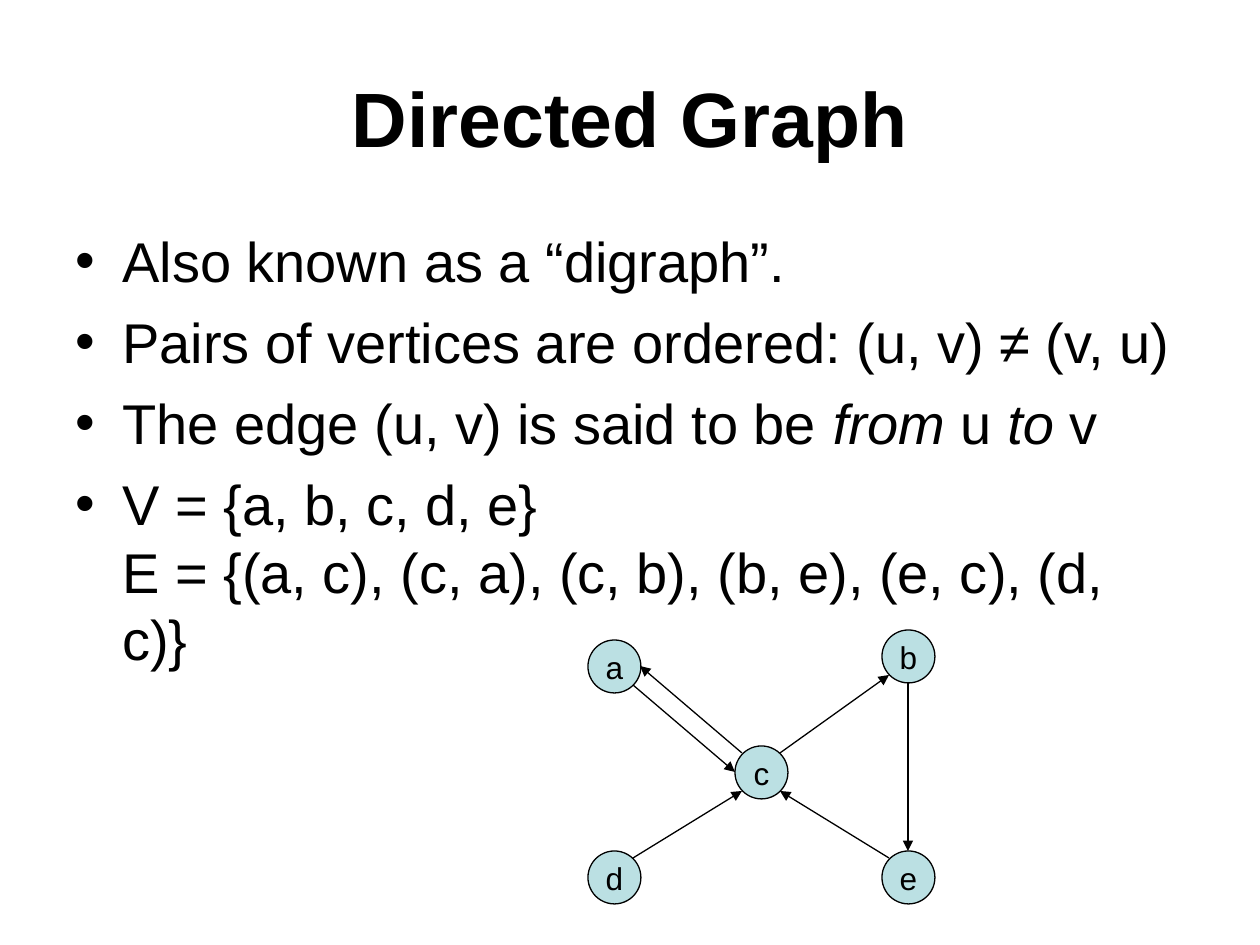
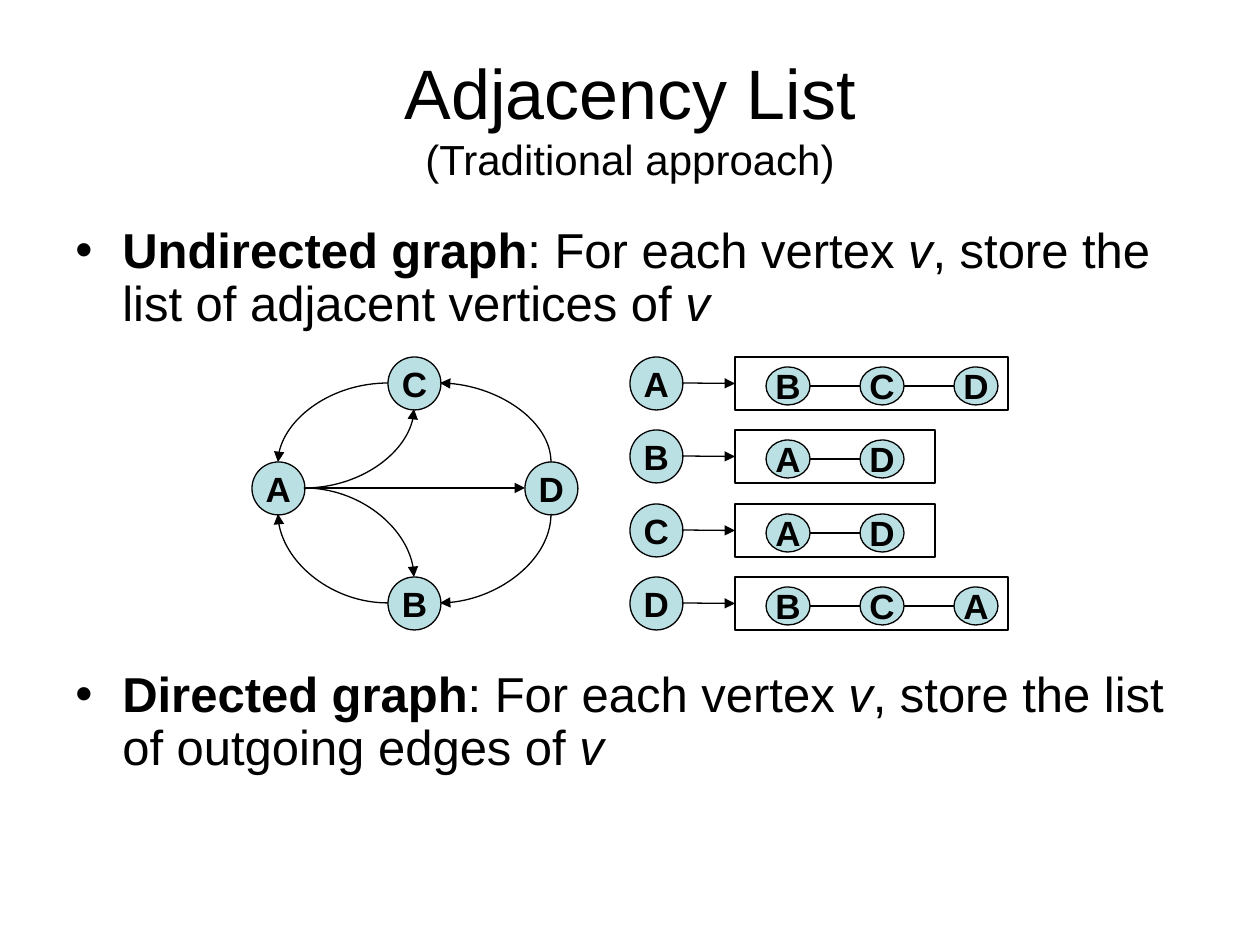
from pptx import Presentation
from pptx.dml.color import RGBColor
from pptx.enum.shapes import MSO_CONNECTOR, MSO_SHAPE
from pptx.enum.text import MSO_ANCHOR, MSO_AUTO_SIZE, PP_ALIGN
from pptx.oxml.ns import qn
from pptx.util import Emu, Pt
from lxml.etree import SubElement

PX_PER_INCH = 126
FONT = "Arial"
BLACK = "000000"
NODE_FILL = "BBE0E3"
NODE = 53
ITEM_WIDTH, ITEM_HEIGHT = 44, 38
SIDES = {
    "N": (0, -26), "S": (0, 26), "W": (-26, 0), "E": (26, 0),
    "NW": (-19, -19), "NE": (19, -19), "SW": (-19, 19), "SE": (19, 19),
}


def px(length):
    """Turn a length in px into EMU."""
    return Emu(round(length * 914400 / PX_PER_INCH))


def color(value):
    """Turn a hex string into a colour."""
    return RGBColor.from_string(value)


def add_run(paragraph, text, size, style=""):
    """Add one run; style holds b for bold and i for italic."""
    run = paragraph.add_run()
    run.text = text
    run.font.name = FONT
    run.font.size = Pt(size)
    run.font.bold = "b" in style
    run.font.italic = "i" in style
    run.font.color.rgb = color(BLACK)


def add_slide(presentation, title_lines):
    """Add a title-only slide and format its title, one paragraph a line."""
    slide = presentation.slides.add_slide(presentation.slide_layouts[5])
    title = slide.shapes.title
    title.left, title.top, title.width, title.height = px(63), px(38), px(1134), px(158)
    frame = title.text_frame
    frame.auto_size = MSO_AUTO_SIZE.NONE
    frame.vertical_anchor = MSO_ANCHOR.MIDDLE
    for index, line in enumerate(title_lines):
        paragraph = frame.add_paragraph() if index else frame.paragraphs[0]
        paragraph.alignment = PP_ALIGN.CENTER
        add_run(paragraph, *line)
    return slide


def add_bullet(paragraph):
    """Give a paragraph a hanging round bullet."""
    properties = paragraph._p.get_or_add_pPr()
    properties.set("marL", str(px(47)))
    properties.set("indent", str(-px(47)))
    SubElement(properties, qn("a:buFont")).set("typeface", FONT)
    SubElement(properties, qn("a:buChar")).set("char", "•")


def add_bullets(slide, items, size, gap, line_spacing=1.0):
    """Add the body text; gap is the space in points between bullets."""
    box = slide.shapes.add_textbox(px(63), px(220), px(1134), px(624))
    frame = box.text_frame
    frame.word_wrap = True
    for index, runs in enumerate(items):
        paragraph = frame.add_paragraph() if index else frame.paragraphs[0]
        add_bullet(paragraph)
        paragraph.line_spacing = line_spacing
        if index:
            paragraph.space_before = Pt(gap)
        for text, style in runs:
            if text == "\n":
                paragraph.add_line_break()
            else:
                add_run(paragraph, text, size, style)


def add_outline(slide, preset, left, top, width, height):
    """Add an unfilled shape with a thin black line."""
    shape = slide.shapes.add_shape(preset, px(left), px(top), px(width), px(height))
    shape.shadow.inherit = False
    shape.fill.background()
    shape.line.color.rgb = color(BLACK)
    shape.line.width = Pt(0.75)
    return shape


def add_vertex(slide, label, left, top, size, style="", width=NODE, height=NODE):
    """Add a labelled vertex."""
    vertex = add_outline(slide, MSO_SHAPE.OVAL, left, top, width, height)
    vertex.fill.solid()
    vertex.fill.fore_color.rgb = color(NODE_FILL)
    frame = vertex.text_frame
    frame.word_wrap = False
    frame.vertical_anchor = MSO_ANCHOR.MIDDLE
    frame.paragraphs[0].alignment = PP_ALIGN.CENTER
    add_run(frame.paragraphs[0], label, size, style)


def add_edge(slide, start, end, arrow="tailEnd", curved=False):
    """Add an edge; arrow is tailEnd, headEnd or empty."""
    kind = MSO_CONNECTOR.CURVE if curved else MSO_CONNECTOR.STRAIGHT
    edge = slide.shapes.add_connector(kind, *map(px, start + end))
    edge.line.color.rgb = color(BLACK)
    edge.line.width = Pt(0.75)
    properties = edge._element.spPr
    if curved:
        properties.find(qn("a:prstGeom")).set("prst", "curvedConnector2")
    if arrow:
        SubElement(edge.line._get_or_add_ln(), qn("a:" + arrow)).set("type", "triangle")
    SubElement(properties, qn("a:effectLst"))
    return edge


def site(position, side):
    """Return the point on a vertex's rim at a compass side."""
    return tuple(corner + NODE // 2 + shift for corner, shift in zip(position, SIDES[side]))


def add_graph(slide, vertices, edges, size, style=""):
    """Add vertices by position, then edges between their rim sites."""
    for label, position in vertices.items():
        add_vertex(slide, label, *position, size, style)
    for start, start_side, end, end_side, *options in edges:
        add_edge(slide, site(vertices[start], start_side), site(vertices[end], end_side), *options)


def add_adjacency_row(slide, vertex, neighbours, top):
    """Add one vertex with its boxed chain of neighbours."""
    add_vertex(slide, vertex, 630, top, 20, "b")
    width = 273 if len(neighbours) == 3 else 200
    box = add_outline(slide, MSO_SHAPE.RECTANGLE, 735, top, width, NODE)
    middle = top + 10 + ITEM_HEIGHT // 2
    for index, neighbour in enumerate(neighbours):
        left = 766 + 94 * index
        add_vertex(slide, neighbour, left, top + 10, 20, "b", ITEM_WIDTH, ITEM_HEIGHT)
        if index:
            add_edge(slide, (left - 94 + ITEM_WIDTH, middle), (left, middle), "")
    arrow = add_edge(slide, site((630, top), "E"), (735, top + NODE // 2))
    arrow.end_connect(box, 1)


def build_directed_graph(presentation):
    """Build the slide that defines a directed graph."""
    slide = add_slide(presentation, [("Directed Graph", 44, "b")])
    add_bullets(slide, [
        [("Also known as a “digraph”.", "")],
        [("Pairs of vertices are ordered: (u, v) ≠ (v, u)", "")],
        [("The edge (u, v) is said to be ", ""), ("from", "i"), (" u ", ""), ("to", "i"), (" v", "")],
        [("V = {a, b, c, d, e}", ""), ("\n", ""),
         ("E = {(a, c), (c, a), (c, b), (b, e), (e, c), (d, c)}", "")],
    ], 32, 8)
    vertices = {"a": (588, 640), "b": (882, 630), "c": (735, 746), "d": (588, 851), "e": (882, 851)}
    edges = [
        ("a", "SE", "c", "W"), ("c", "NW", "a", "E"), ("c", "NE", "b", "SW"),
        ("b", "S", "e", "N"), ("e", "NW", "c", "SE"), ("d", "NE", "c", "SW"),
    ]
    add_graph(slide, vertices, edges, 18)


def build_adjacency_list(presentation):
    """Build the slide that shows adjacency lists."""
    slide = add_slide(presentation, [("Adjacency List", 40), ("(Traditional approach)", 24)])
    add_bullets(slide, [
        [("Undirected graph", "b"), (": For each vertex ", ""), ("v", "i"),
         (", store the list of adjacent vertices of ", ""), ("v", "i")],
        [("Directed graph", "b"), (": For each vertex ", ""), ("v", "i"),
         (", store the list of outgoing edges of ", ""), ("v", "i")],
    ], 28, 193, 0.9)
    vertices = {"A": (252, 462), "C": (388, 357), "B": (388, 577), "D": (525, 462)}
    edges = [
        ("A", "E", "C", "S", "tailEnd", True), ("C", "W", "A", "N", "tailEnd", True),
        ("B", "W", "A", "S", "tailEnd", True), ("A", "E", "B", "N", "tailEnd", True),
        ("C", "E", "D", "N", "headEnd", True), ("B", "E", "D", "S", "headEnd", True),
        ("A", "E", "D", "W"),
    ]
    add_graph(slide, vertices, edges, 20, "b")
    for index, (vertex, neighbours) in enumerate(zip("ABCD", ("BCD", "AD", "AD", "BCA"))):
        add_adjacency_row(slide, vertex, neighbours, 357 + 147 * index // 2)


def main():
    """Build and save the presentation."""
    presentation = Presentation()
    presentation.slide_width, presentation.slide_height = px(1260), px(945)
    build_directed_graph(presentation)
    build_adjacency_list(presentation)
    presentation.save("out.pptx")


if __name__ == "__main__":
    main()
